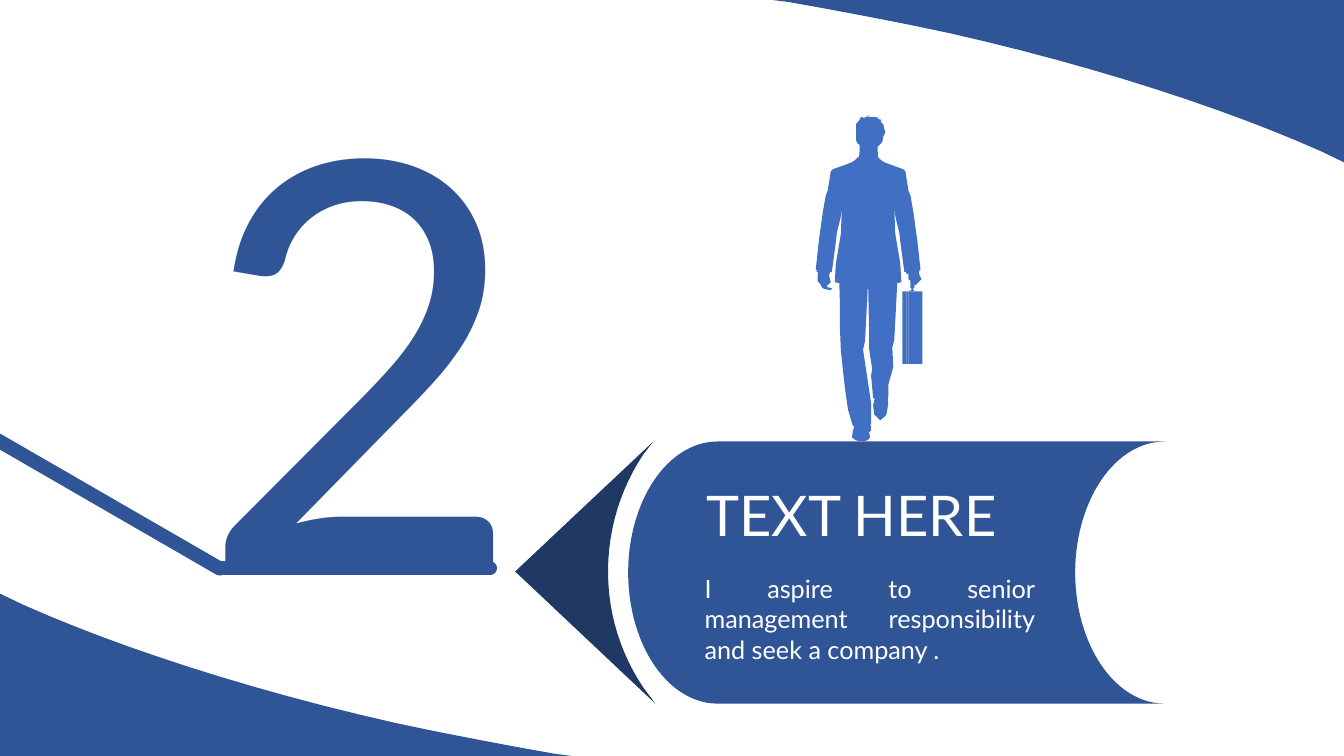
from lxml import etree
from pptx import Presentation
from pptx.dml.color import RGBColor
from pptx.enum.shapes import MSO_CONNECTOR, MSO_SHAPE
from pptx.enum.text import MSO_ANCHOR, MSO_AUTO_SIZE, PP_ALIGN
from pptx.oxml.ns import qn
from pptx.util import Inches, Pt

RECT, PANEL = MSO_SHAPE.RECTANGLE, MSO_SHAPE.FLOWCHART_STORED_DATA
ONLINE_STORAGE = PANEL
STRAIGHT = MSO_CONNECTOR.STRAIGHT
LEFT, CENTER, JUSTIFY = PP_ALIGN.LEFT, PP_ALIGN.CENTER, PP_ALIGN.JUSTIFY

W, H = Inches(13.33), Inches(7.5)
BLUE, NAVY, FIGURE_BLUE, WHITE = "2F5597", "203864", "406FC4", "FFFFFF"
FONT = "Lato"

# Outlines in percent of the slide: a pair is a corner, a triple of pairs a curve
SWOOSH = [(0, 78.53), (1.73, 80),
          ((8.63, 85.47), (18.38, 91.2), (29.33, 95.6)),
          ((33.53, 97.2), (37.51, 98.53), (41.34, 99.73)),
          (42.54, 100), (0, 100)]
ARROW_TIP = [(48.61, 58.4), (47.86, 60.13),
             ((46.21, 64.53), (45.24, 69.87), (45.24, 75.6)),
             ((45.24, 81.33), (46.21, 86.53), (47.86, 90.93)),
             (48.76, 93.07), (38.33, 75.6)]

# Walking man on a grid of hundredths of an inch, from the body axis and hair top
AXIS, TOP, UNIT = Inches(8.61), Inches(1.14), Inches(0.01)
SINGLE_PARTS = [
    # Head with hair, then neck
    "-12,18 -12,9 -10,7 -8,4 -7,2 -4,3 2,0 -1,2 6,2 11,3 9,4 14,5 12,6 16,11 "
    "15,10 17,17 15,22 14,27 10,31 9,32 6,37 0,40 -6,35 -9,29 -10,29 -12,25",
    "9,24 10,48 7,55 0,57 -7,55 -9,48 -8,24",
    # Shoes
    "2,303 3,313 1,315 2,320 -1,323 -5,324 -12,323 -16,320 -15,313 -13,307 -11,301",
    "19,274 20,287 18,298 12,303 6,297 5,288 8,276",
    # Trousers
    "0,166 -2,204 -3,224 -5,233 3,286 3,307 -5,307 -15,309 -20,292 -23,271 "
    "-27,234 -28,210 -28,186 -29,151 -24,126 22,126 29,165 26,223 24,231 "
    "25,250 20,268 20,280 13,284 5,281 4,270 3,259 4,252 1,232 1,214",
    # Hands
    "50,154 51,159 53,163 51,165 47,169 45,169 43,165 40,163 40,156 41,153",
    "-48,167 -45,172 -42,173 -37,174 -36,172 -40,171 -41,170 -37,166 -39,158 "
    "-40,147 -49,149 -50,160 -50,165",
]
MIRRORED_PARTS = [
    # Arm, cuff
    "-35,54 -37,56 -40,75 -42,80 -45,97 -49,126 -52,154 -44,154 -36,156 "
    "-32,126 -31,117 -28,105 -24,85",
    "-50,148 -51,156 -45,156 -38,158 -37,149",
    # Jacket half, shirt half
    "0,92 -13,46 -35,54 -26,92 -27,118 -32,148 -33,166 -14,170 -4,161 0,138",
    "0,46 -9,43 -30,55 -20,90 0,106",
    # Lapel, collar
    "0,92 -10,42 -14,46 -20,52 -15,53 -20,55 -10,83",
    "0,46 -8,39 -10,43 -6,58 -2,47",
]
# Briefcase: left, top, width, height
CASE_PARTS = [(34, 175, 4, 72), (38, 175, 2, 72), (40, 175, 14, 72),
              (43, 172, 2, 3), (41, 174, 5, 1), (42, 161, 4, 11)]


def rgb(color):
    return RGBColor.from_string(color)


def pct(x, y):
    return round(W * x / 100), round(H * y / 100)


def paint(sp, color):
    sp.shadow.inherit = False
    sp.fill.solid()
    sp.fill.fore_color.rgb = rgb(color)
    sp.line.fill.background()


def flatten(outline, steps=12):
    """Turn corners and cubic curves into a list of points."""
    points = []
    for node in outline:
        if len(node) == 2:
            points.append(node)
            continue
        a, (b, c, d) = points[-1], node
        for i in range(1, steps + 1):
            t = i / steps
            u = 1 - t
            points.append(tuple(
                u**3 * a[k] + 3 * u * u * t * b[k] + 3 * u * t * t * c[k] + t**3 * d[k]
                for k in (0, 1)))
    return points


def add_outline(shapes, points, color):
    builder = shapes.build_freeform(*points[0], scale=1.0)
    builder.add_line_segments(points[1:], close=True)
    paint(builder.convert_to_shape(), color)


def add_box(shapes, kind, left, top, width, height, color):
    paint(shapes.add_shape(kind, left, top, width, height), color)


def add_stroke(shapes, start, end):
    line = shapes.add_connector(STRAIGHT, *pct(*start), *pct(*end))
    line.line.color.rgb = rgb(BLUE)
    line.line.width = Pt(10)
    line.line._get_or_add_ln().set("cap", "rnd")
    etree.SubElement(line._element.spPr, qn("a:effectLst"))


def write(sp, text, size, color, align):
    tf = sp.text_frame
    tf.word_wrap = True
    tf.auto_size = MSO_AUTO_SIZE.NONE
    tf.vertical_anchor = MSO_ANCHOR.TOP
    tf.text = text
    p = tf.paragraphs[0]
    p.alignment = align
    font = p.runs[0].font
    font.name, font.size, font.color.rgb = FONT, Pt(size), rgb(color)


def add_text(shapes, left, top, width, height, *style):
    sp = shapes.add_textbox(*pct(left, top), *pct(width, height))
    write(sp, *style)


def add_title(slide, left, top, width, height, *style):
    sp = slide.shapes.title
    sp.left, sp.top = pct(left, top)
    sp.width, sp.height = pct(width, height)
    write(sp, *style)
    slide.shapes._spTree.append(sp._element)  # bring in front of the panel


def add_man(slide):
    shapes = slide.shapes.add_group_shape().shapes
    parts = [(part, 1) for part in SINGLE_PARTS]
    parts += [(part, side) for part in MIRRORED_PARTS for side in (1, -1)]
    for part, side in parts:
        pairs = [pair.split(",") for pair in part.split()]
        points = [(AXIS + side * int(x) * UNIT, TOP + int(y) * UNIT) for x, y in pairs]
        add_outline(shapes, points, FIGURE_BLUE)
    for x, y, w, h in CASE_PARTS:
        add_box(shapes, RECT, AXIS + x * UNIT, TOP + y * UNIT, w * UNIT, h * UNIT,
                FIGURE_BLUE)


def main():
    prs = Presentation()
    prs.slide_width, prs.slide_height = W, H
    slide = prs.slides.add_slide(prs.slide_layouts[5])
    shapes = slide.shapes

    # Corner swooshes, the second turned by half a turn
    swoosh = flatten(SWOOSH)
    add_outline(shapes, [pct(x, y) for x, y in swoosh], BLUE)
    add_outline(shapes, [pct(100 - x, 100 - y) for x, y in swoosh], BLUE)

    # Big number on its line
    bend = (16.35, 75.2)
    add_stroke(shapes, (-0.53, 57.87), bend)
    add_stroke(shapes, (36.46, 75.2), bend)
    add_text(shapes, 14.1, 0, 28.28, 91.07, "2", 400, BLUE, LEFT)

    # Arrow panel with its text
    add_outline(shapes, [pct(x, y) for x, y in flatten(ARROW_TIP)], NAVY)
    add_box(shapes, ONLINE_STORAGE, *pct(46.74, 58.4), *pct(39.91, 34.67), BLUE)
    add_title(slide, 48.76, 62.93, 29.18, 9.47, "TEXT HERE", 40, WHITE, CENTER)
    add_text(shapes, 51.69, 75.2, 26.03, 15.2,
             "I aspire to senior management responsibility and seek a company .",
             18, WHITE, JUSTIFY)

    add_man(slide)
    prs.save("out.pptx")


if __name__ == "__main__":
    main()
